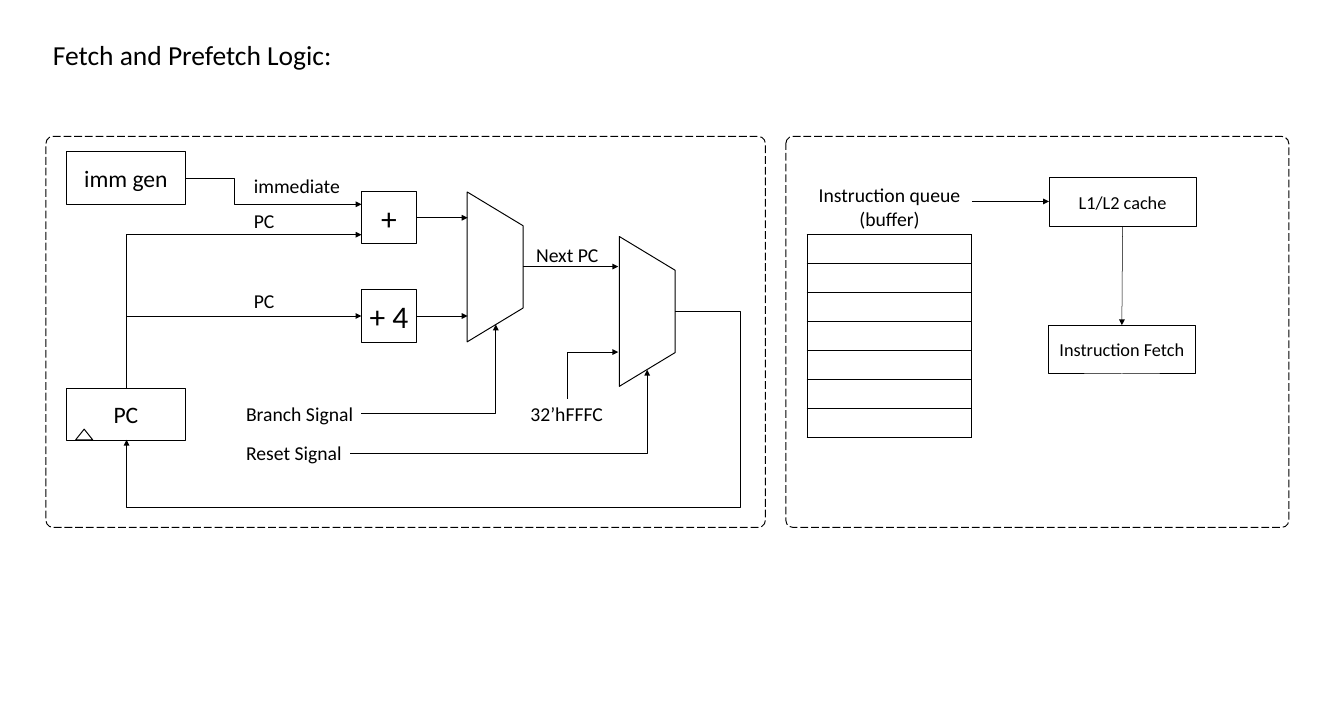
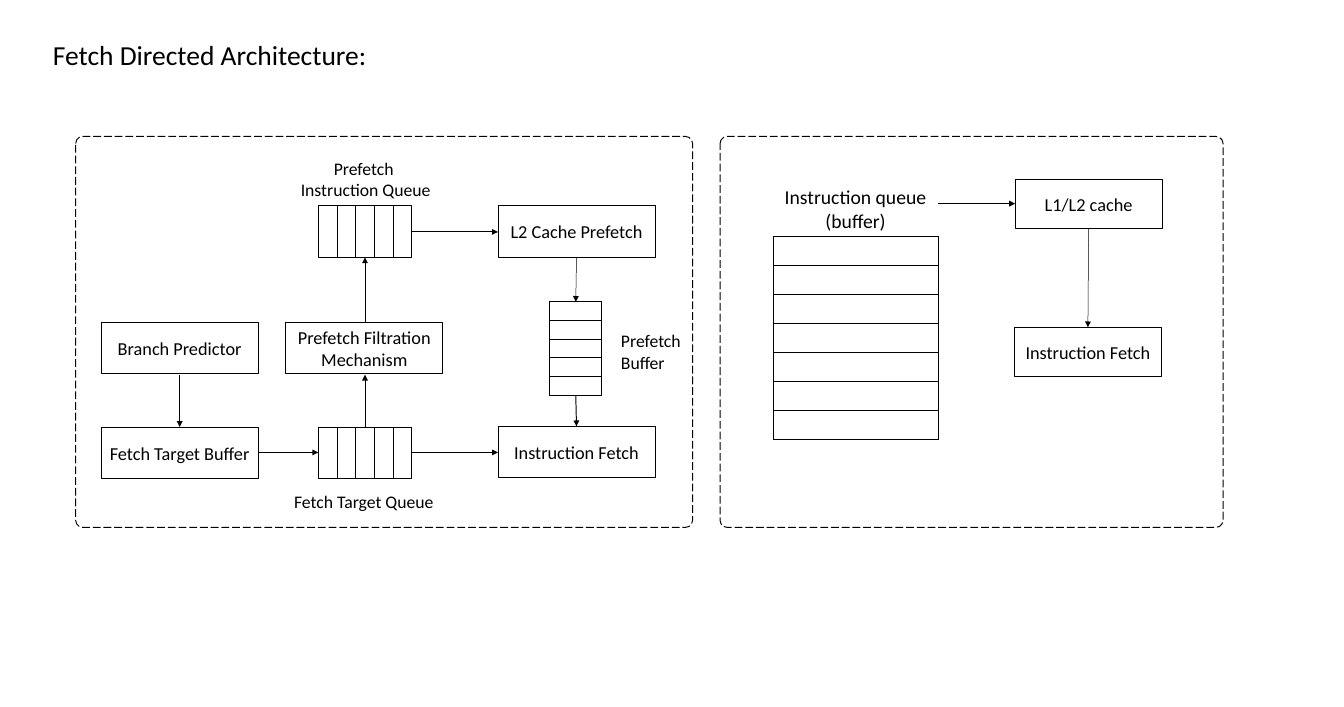
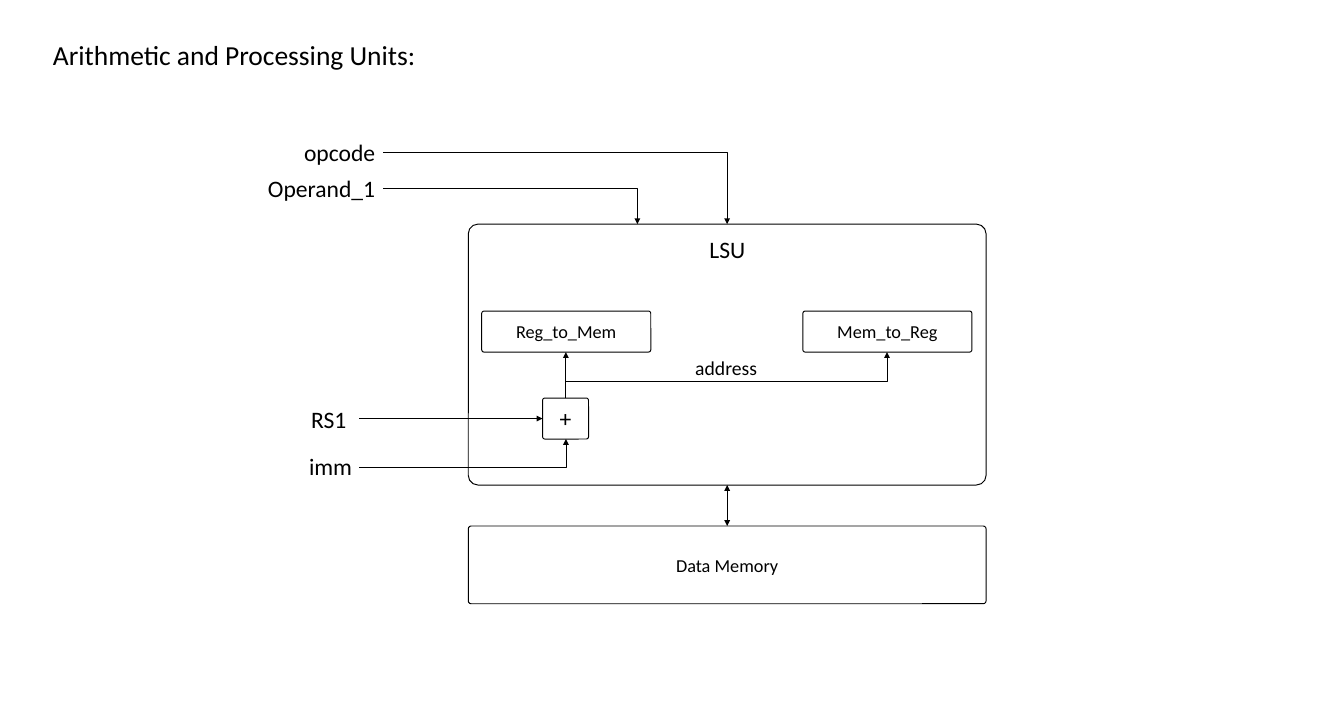
from dataclasses import dataclass
from typing import Any

from lxml.etree import SubElement
from pptx import Presentation
from pptx.dml.color import RGBColor
from pptx.enum.dml import MSO_LINE
from pptx.enum.shapes import MSO_CONNECTOR, MSO_SHAPE
from pptx.enum.text import MSO_ANCHOR, MSO_AUTO_SIZE, PP_ALIGN
from pptx.oxml.ns import qn
from pptx.util import Inches, Pt

INK = "000000"
FONT = "Calibri"
PROCESS = MSO_SHAPE.FLOWCHART_PROCESS
ROUNDED = MSO_SHAPE.ROUNDED_RECTANGLE
CENTER = PP_ALIGN.CENTER
PANEL_HEIGHT = 5.53
QUEUE_ROW = 0.41


def color(value):
    return RGBColor.from_string(value)


def write(frame, text, size, align=PP_ALIGN.LEFT):
    frame.text = text
    formats = {"name": FONT, "size": Pt(size), "bold": False}
    for paragraph in frame.paragraphs:
        paragraph.alignment = align
        for run in paragraph.runs:
            for name, value in formats.items():
                setattr(run.font, name, value)
            run.font.color.rgb = color(INK)


def draw_line(line, width):
    line.color.rgb = color(INK)
    line.width = Pt(width)


@dataclass
class Region:
    slide: Any
    left: float
    top: float

    def place(self, x, y):
        return Inches(self.left + x), Inches(self.top + y)

    def box(self, x, y, width, height, text="", size=18.6, kind=PROCESS, corner=None):
        shape = self.slide.shapes.add_shape(
            kind, *self.place(x, y), Inches(width), Inches(height))
        shape.shadow.inherit = False
        shape.fill.background()
        draw_line(shape.line, 1)
        if corner is not None:
            shape.adjustments[0] = corner
        if text:
            shape.text_frame.vertical_anchor = MSO_ANCHOR.MIDDLE
            write(shape.text_frame, text, size, CENTER)
        return shape

    def label(self, x, y, width, height, text, size, align=PP_ALIGN.LEFT):
        text_box = self.slide.shapes.add_textbox(
            *self.place(x, y), Inches(width), Inches(height))
        formats = {"word_wrap": False, "auto_size": MSO_AUTO_SIZE.SHAPE_TO_FIT_TEXT}
        for name, value in formats.items():
            setattr(text_box.text_frame, name, value)
        write(text_box.text_frame, text, size, align)

    def arrow(self, start, end, width=1, kind=MSO_CONNECTOR.STRAIGHT, ends=("tailEnd",)):
        connector = self.slide.shapes.add_connector(
            kind, *self.place(*start), *self.place(*end))
        draw_line(connector.line, width)
        properties = connector._element.spPr
        for name in ends:
            SubElement(properties.find(qn("a:ln")), qn("a:" + name), type="triangle")
        SubElement(properties, qn("a:effectLst"))
        return connector

    def elbow(self, start, end, width=1, vertical=False, bends=()):
        (x1, y1), (x2, y2) = start, end
        if vertical:
            middle_x, middle_y = (x1 + x2) / 2, (y1 + y2) / 2
            half_x, half_y = (y2 - y1) / 2, (x1 - x2) / 2
            start = middle_x - half_x, middle_y - half_y
            end = middle_x + half_x, middle_y + half_y
        connector = self.arrow(start, end, width, MSO_CONNECTOR.ELBOW)
        properties = connector._element.spPr
        if vertical:
            properties.find(qn("a:xfrm")).set("rot", "5400000")
        geometry = properties.find(qn("a:prstGeom"))
        geometry.set("prst", f"bentConnector{len(bends) + 2}")
        guides = geometry.find(qn("a:avLst"))
        for number, bend in enumerate(bends, 1):
            SubElement(guides, qn("a:gd"), name=f"adj{number}",
                       fmla=f"val {round(bend * 100000)}")

    def panel(self, width):
        frame = self.box(0, 0, width, PANEL_HEIGHT, kind=ROUNDED, corner=0.018)
        frame.line.dash_style = MSO_LINE.LONG_DASH


def set_borders(cell, visible):
    properties = cell._tc.get_or_add_tcPr()
    for position, side in enumerate(("lnL", "lnR", "lnT", "lnB")):
        border = properties.makeelement(qn("a:" + side), {"w": str(Pt(1))})
        properties.insert(position, border)
        if side in visible:
            SubElement(SubElement(border, qn("a:solidFill")), qn("a:srgbClr"), val=INK)
        else:
            SubElement(border, qn("a:noFill"))


def instruction_queue(slide, left, top):
    region = Region(slide, left, top)
    rows = 8
    table = slide.shapes.add_table(
        rows, 1, *region.place(0, 0), Inches(2.33), Inches(rows * QUEUE_ROW)).table
    table.first_row = table.horz_banding = False
    for index in range(rows):
        cell = table.cell(index, 0)
        cell.fill.background()
        set_borders(cell, ("lnL", "lnR", "lnT", "lnB") if index else ("lnB",))
    write(table.cell(0, 0).text_frame, "Instruction queue (buffer)", 20, CENTER)
    region.arrow((2.33, 0.3), (3.42, 0.3), 0.5)
    region.arrow((4.46, 0.65), (4.45, 2.05), 0.5)
    for x, y, text in ((3.42, -0.04, "L1/L2 cache"), (3.41, 2.05, "Instruction Fetch")):
        region.box(x, y, 2.08, 0.69, text, kind=MSO_SHAPE.RECTANGLE)


def next_pc_logic(slide, left, top):
    region = Region(slide, left, top)
    for x, y in ((5.29, 1.45), (7.44, 2.08)):
        multiplexer = region.box(x, y, 2.12, 0.79, kind=MSO_SHAPE.TRAPEZOID, corner=0.605)
        multiplexer.rotation = 90
    for y, text in ((0.78, "+"), (2.17, "+ 4")):
        region.box(4.46, y, 0.78, 0.74, text, 32)
        region.arrow((5.24, y + 0.37), (5.96, y + 0.37))
    for y, text in ((0.22, "imm gen"), (3.56, "PC")):
        region.box(0.29, y, 1.68, 0.74, text, 24)
    region.box(0.42, 4.14, 0.24, 0.15, kind=MSO_SHAPE.ISOSCELES_TRIANGLE)

    region.arrow((6.75, 1.84), (8.09, 1.84))
    region.elbow((1.98, 0.59), (4.46, 0.96), bends=(0.277,))
    for y in (1.39, 2.54):
        region.elbow((1.14, 3.56), (4.46, y), vertical=True)
    region.elbow((7.37, 3.71), (8.09, 3.05), vertical=True)
    region.elbow((4.46, 3.92), (6.36, 2.66))
    region.elbow((4.3, 4.48), (8.5, 3.3))
    region.elbow((8.9, 2.47), (1.14, 4.29), 0.5, bends=(-0.118, 1.527))

    for x, y, width, text in (
        (2.73, 3.71, 1.73, "Branch Signal"),
        (2.73, 4.26, 1.57, "Reset Signal"),
        (6.75, 3.71, 1.24, "32’hFFFC"),
        (6.83, 1.46, 1.09, "Next PC"),
        (2.84, 0.48, 1.43, "immediate"),
        (2.84, 0.97, 0.5, "PC"),
        (2.84, 2.1, 0.5, "PC"),
    ):
        region.label(x, y, width, 0.44, text, 20)
    region.panel(10.17)


def prefetch_pipeline(slide, left, top):
    region = Region(slide, left, top)
    for x, y, text in (
        (0.36, 2.63, "Branch Predictor"),
        (0.36, 4.11, "Fetch Target Buffer"),
        (2.97, 2.63, "Prefetch Filtration Mechanism"),
        (5.97, 0.98, "L2 Cache Prefetch"),
        (5.97, 4.1, "Instruction Fetch"),
    ):
        region.box(x, y, 2.22, 0.73, text)

    slots = 5
    slot = 1.32 / slots
    for index in range(slots):
        for queue_top in (0.98, 4.11):
            region.box(3.43 + index * slot, queue_top, slot, 0.73)
        region.box(6.7, 2.34 + index * slot, 0.73, slot)

    for start, end in (
        ((1.47, 3.37), (1.47, 4.11)),
        ((2.59, 4.47), (3.43, 4.47)),
        ((4.09, 4.11), (4.09, 3.37)),
        ((4.09, 2.63), (4.09, 1.71)),
        ((4.75, 1.35), (5.97, 1.35)),
        ((4.75, 4.47), (5.97, 4.47)),
        ((7.07, 3.66), (7.08, 4.1)),
    ):
        region.arrow(start, end)
    region.arrow((7.08, 1.71), (7.07, 2.34), 0.5)

    region.label(2.99, 4.96, 2.2, 0.4, "Fetch Target Queue", 18)
    region.label(3.07, 0.25, 2.06, 0.71, "Prefetch \vInstruction Queue", 18, CENTER)
    region.label(7.61, 2.69, 1.11, 0.71, "Prefetch \nBuffer", 18)
    region.panel(8.72)


def load_store_unit(slide, left, top):
    region = Region(slide, left, top)
    region.box(0, 0, 7.32, 3.69, kind=ROUNDED, corner=0.037)
    region.box(0, 4.27, 7.32, 1.1, "Data Memory", kind=ROUNDED, corner=0.037)
    for x, y, width, text, size in (
        (0.19, 1.23, 2.39, "Reg_to_Mem", 18.6),
        (4.73, 1.23, 2.39, "Mem_to_Reg", 18.6),
        (1.05, 2.46, 0.65, "+", 24),
    ):
        region.box(x, y, width, 0.58, text, size, ROUNDED, 0.056)

    region.arrow((-1.54, 2.75), (1.05, 2.75))
    region.arrow((1.38, 2.46), (1.38, 1.81))
    region.arrow((3.66, 3.69), (3.66, 4.27), ends=("headEnd", "tailEnd"))
    region.elbow((1.38, 2.46), (5.92, 1.81), vertical=True, bends=(0.351,))
    for start, end in (
        ((-1.54, 3.44), (1.38, 3.04)),
        ((-1.2, -1.02), (3.66, 0)),
        ((-1.2, -0.51), (2.39, 0)),
    ):
        region.elbow(start, end, 0.5)

    for x, y, width, text in (
        (3.31, 0.11, 0.71, "LSU"),
        (-2.32, 2.51, 0.7, "RS1"),
        (-2.35, 3.18, 0.82, "imm"),
        (-2.42, -1.27, 1.22, "opcode"),
        (-2.93, -0.76, 1.72, "Operand_1"),
    ):
        region.label(x, y, width, 0.5, text, 24)
    region.label(3.11, 1.82, 1.09, 0.44, "address", 20)


def add_slide(presentation, title, title_width):
    slide = presentation.slides.add_slide(presentation.slide_layouts[6])
    Region(slide, 0.65, 0.49).label(0, 0, title_width, 0.57, title, 28)
    return slide


def fetch_logic_slide(presentation):
    slide = add_slide(presentation, "Fetch and Prefetch Logic:", 4.18)
    next_pc_logic(slide, 0.65, 1.93)
    Region(slide, 11.11, 1.93).panel(7.11)
    instruction_queue(slide, 11.41, 2.55)


def fetch_directed_slide(presentation):
    slide = add_slide(presentation, "Fetch Directed Architecture:", 4.68)
    prefetch_pipeline(slide, 1.07, 1.93)
    Region(slide, 10.18, 1.93).panel(7.11)
    instruction_queue(slide, 10.93, 2.58)


def processing_units_slide(presentation):
    slide = add_slide(presentation, "Arithmetic and Processing Units:", 5.39)
    load_store_unit(slide, 6.62, 3.17)


presentation = Presentation()
presentation.slide_width = Inches(19)
presentation.slide_height = Inches(10)
fetch_logic_slide(presentation)
fetch_directed_slide(presentation)
processing_units_slide(presentation)
presentation.save("out.pptx")
